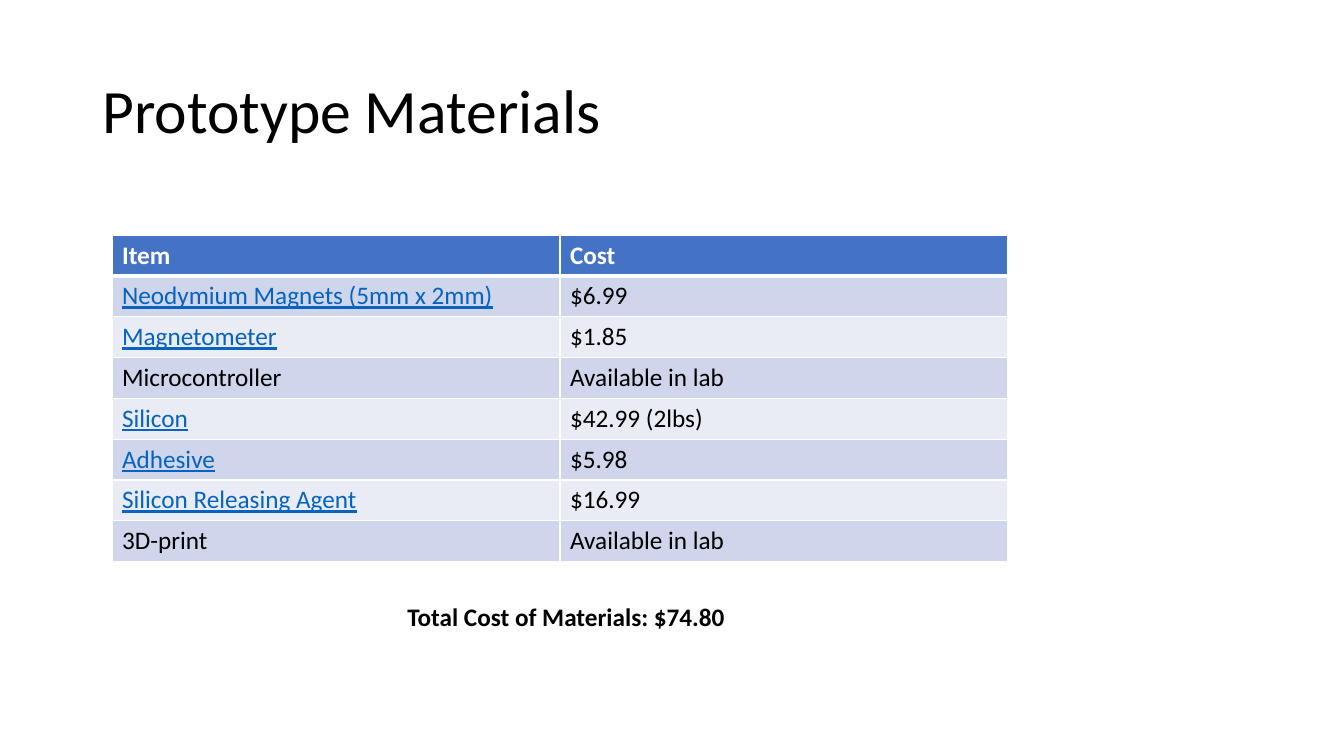
import dataclasses

import lxml.etree
import pptx
import pptx.dml.color
import pptx.enum.text
import pptx.oxml.ns
import pptx.util

SLIDE_WIDTH = pptx.util.Inches(13.33)
SLIDE_HEIGHT = pptx.util.Inches(7.5)
GRID_COLUMNS, GRID_ROWS = 120, 100
COLORS = {
    "ink": "000000",
    "white": "FFFFFF",
    "link": "0563C1",
    "header": "4472C4",
    "odd_band": "CFD5EA",
    "even_band": "E9EBF5",
}


@dataclasses.dataclass(frozen=True)
class Area:
    """A rectangle in grid columns and rows."""

    column: float
    row: float
    columns: float
    rows: float

    def emu(self) -> tuple[int, int, int, int]:
        """Return left, top, width and height in EMU."""
        across, down = SLIDE_WIDTH / GRID_COLUMNS, SLIDE_HEIGHT / GRID_ROWS
        return (round(self.column * across), round(self.row * down),
                round(self.columns * across), round(self.rows * down))


@dataclasses.dataclass(frozen=True)
class TextStyle:
    """The look of one run."""

    size: int = 18
    color: str = "ink"
    bold: bool = False
    underline: bool = False


@dataclasses.dataclass(frozen=True)
class Material:
    """One priced line of the materials table."""

    item: str
    cost: str
    sourced: bool = True


BODY = TextStyle()
LINK = TextStyle(color="link", underline=True)
HEADER = TextStyle(color="white", bold=True)

MATERIALS = [
    Material("Neodymium Magnets (5mm x 2mm)", "$6.99"),
    Material("Magnetometer", "$1.85"),
    Material("Microcontroller", "Available in lab", sourced=False),
    Material("Silicon", "$42.99 (2lbs)"),
    Material("Adhesive", "$5.98"),
    Material("Silicon Releasing Agent", "$16.99"),
    Material("3D-print", "Available in lab", sourced=False),
]


def rgb(name: str) -> pptx.dml.color.RGBColor:
    """Look up a named colour."""
    return pptx.dml.color.RGBColor.from_string(COLORS[name])


def add_run(paragraph, text: str, style: TextStyle) -> None:
    """Append a styled run to a paragraph."""
    run = paragraph.add_run()
    run.text = text
    run.font.name = "Calibri"
    run.font.size = pptx.util.Pt(style.size)
    run.font.bold = style.bold
    run.font.underline = style.underline
    run.font.color.rgb = rgb(style.color)


def add_label(slide, area: Area, text: str, style: TextStyle, anchor, alignment):
    """Add a one-paragraph text box and return its paragraph."""
    frame = slide.shapes.add_textbox(*area.emu()).text_frame
    frame.word_wrap = True
    frame.vertical_anchor = anchor
    paragraph = frame.paragraphs[0]
    paragraph.alignment = alignment
    add_run(paragraph, text, style)
    return paragraph


def add_borders(cell, top: int, bottom: int) -> None:
    """Give a cell white borders, one point wide at the sides."""
    properties = cell._tc.get_or_add_tcPr()
    widths = {"a:lnL": 1, "a:lnR": 1, "a:lnT": top, "a:lnB": bottom}
    for tag, width in widths.items():
        line = lxml.etree.SubElement(properties, pptx.oxml.ns.qn(tag), w=str(pptx.util.Pt(width)))
        fill = lxml.etree.SubElement(line, pptx.oxml.ns.qn("a:solidFill"))
        lxml.etree.SubElement(fill, pptx.oxml.ns.qn("a:srgbClr"), val=COLORS["white"])


def add_materials_table(slide, area: Area) -> None:
    """Add the banded table of items and costs."""
    lines = [(("Item", HEADER), ("Cost", HEADER))]
    lines += [((material.item, LINK if material.sourced else BODY), (material.cost, BODY))
              for material in MATERIALS]
    table = slide.shapes.add_table(len(lines), len(lines[0]), *area.emu()).table
    for index, line in enumerate(lines):
        band = "header" if index == 0 else "odd_band" if index % 2 else "even_band"
        for cell, (text, style) in zip(table.rows[index].cells, line):
            add_borders(cell, top=3 if index == 1 else 1, bottom=3 if index == 0 else 1)
            cell.fill.solid()
            cell.fill.fore_color.rgb = rgb(band)
            add_run(cell.text_frame.paragraphs[0], text, style)


def main() -> None:
    """Build and save the slide."""
    presentation = pptx.Presentation()
    presentation.slide_width = SLIDE_WIDTH
    presentation.slide_height = SLIDE_HEIGHT
    slide = presentation.slides.add_slide(presentation.slide_layouts[6])

    anchors, alignments = pptx.enum.text.MSO_ANCHOR, pptx.enum.text.PP_ALIGN
    title = add_label(slide, Area(8.25, 5.33, 103.5, 19.33), "Prototype Materials",
                      TextStyle(size=44), anchors.MIDDLE, alignments.LEFT)
    title.line_spacing = 0.9
    add_label(slide, Area(33, 78.9, 35.1, 9.5), "Total Cost of Materials: $74.80",
              TextStyle(bold=True), anchors.TOP, alignments.CENTER)
    add_materials_table(slide, Area(10, 31.1, 80, 43.2))
    presentation.save("out.pptx")


main()
